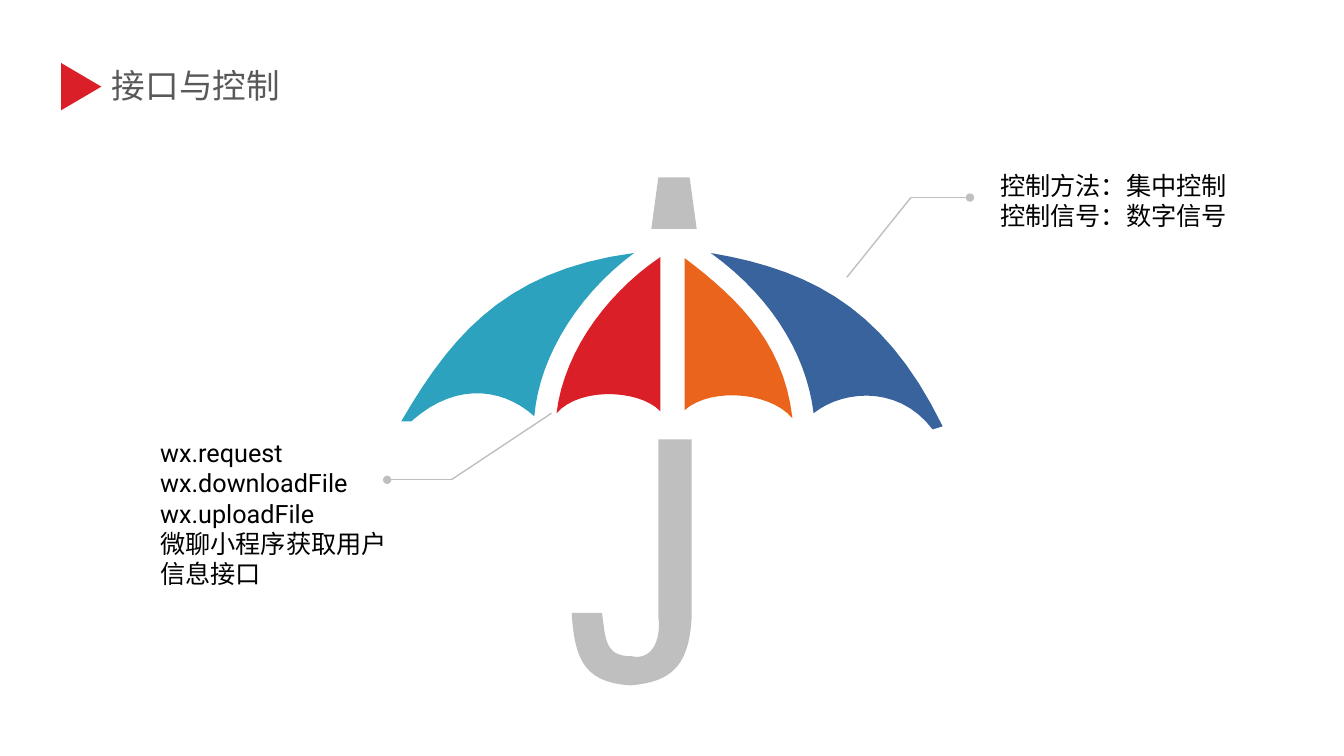
from dataclasses import dataclass

from lxml import etree
from pptx import Presentation
from pptx import util as u
from pptx.dml.color import RGBColor
from pptx.enum import shapes, text
from pptx.oxml.ns import qn


@dataclass
class Theme:
    red: str = "DA1F28"
    teal: str = "2DA2BF"
    blue: str = "39639D"
    orange: str = "EB641B"
    gray: str = "BFBFBF"
    title: str = "595959"
    ink: str = "000000"
    head: str = "Noto Sans CJK SC"
    body: str = "Roboto"
    large: int = 24
    small: int = 18
    rule: int = 1


@dataclass
class Box:
    x: float
    y: float
    w: float
    h: float

    def emu(self):
        return [u.Inches(n) for n in (self.x, self.y, self.w, self.h)]

    def at(self, col, row, cols=1, rows=1):
        return (u.Inches(self.x + self.w * col / cols),
                u.Inches(self.y + self.h * row / rows))


THEME = Theme()
COLS, ROWS = 537, 504
STEPS = 15

PARTS = [
    (THEME.teal, (231, 75), [
        [(181, 123), (147, 179), (132, 237)],
        [(96, 217), (54, 217), (10, 242)],
        [(0, 242)],
        [(55, 163), (127, 106), (231, 75)]]),
    (THEME.gray, (288, 260), [
        [(288, 436)],
        [(280, 475), (260, 496), (227, 504)],
        [(192, 494), (175, 470), (169, 432)],
        [(199, 432)],
        [(202, 453), (209, 469), (228, 475)],
        [(245, 472), (254, 457), (255, 436)],
        [(255, 260)]]),
    (THEME.blue, (307, 75), [
        [(398, 101), (474, 154), (537, 247)],
        [(527, 250)],
        [(488, 221), (445, 218), (409, 234)],
        [(393, 177), (359, 123), (307, 75)]]),
    (THEME.gray, (255, 0), [[(286, 0)], [(293, 51)], [(248, 51)]]),
    (THEME.orange, (281, 80), [
        [(330, 122), (368, 173), (388, 239)],
        [(356, 220), (315, 217), (281, 231)]]),
    (THEME.red, (257, 79), [
        [(257, 232)],
        [(226, 217), (186, 217), (154, 234)],
        [(172, 175), (208, 122), (257, 79)]]),
]


def paint(shape, color):
    shape.shadow.inherit = False
    shape.fill.solid()
    shape.fill.fore_color.rgb = RGBColor.from_string(color)
    shape.line.fill.background()


def curve(knots):
    for step in range(1, STEPS + 1):
        t = 3 * step / STEPS
        mix = (-(t - 1) * (t - 2) * (t - 3) / 6,
               t * (t - 2) * (t - 3) / 2,
               -t * (t - 1) * (t - 3) / 2,
               t * (t - 1) * (t - 2) / 6)
        yield tuple(sum(m * p[axis] for m, p in zip(mix, knots))
                    for axis in (0, 1))


def trace(start, edges):
    points = [start]
    for edge in edges:
        points += edge if len(edge) == 1 else curve([points[-1], *edge])
    return points


def umbrella(slide, box):
    for color, start, edges in PARTS:
        first, *rest = [box.at(*p, COLS, ROWS) for p in trace(start, edges)]
        pen = slide.shapes.build_freeform(*first, scale=1.0)
        pen.add_line_segments(rest, close=True)
        paint(pen.convert_to_shape(), color)


def write(par, words, font, size, color):
    run = par.add_run()
    run.text = words
    run.font.name = font
    run.font.size = u.Pt(size)
    run.font.color.rgb = RGBColor.from_string(color)
    east = etree.SubElement(run.font._element, qn("a:ea"))
    east.set("typeface", font)


def heading(slide, box, words):
    title = slide.shapes.title
    title.left, title.top, title.width, title.height = Box(
        box.x + 0.44, box.y, box.w - 0.44, box.h).emu()
    frame = title.text_frame
    frame.auto_size = text.MSO_AUTO_SIZE.NONE
    frame.vertical_anchor = text.MSO_ANCHOR.MIDDLE
    par = frame.paragraphs[0]
    par.alignment = text.PP_ALIGN.LEFT
    write(par, words, THEME.head, THEME.large, THEME.title)
    mark = slide.shapes.add_shape(
        shapes.MSO_SHAPE.ISOSCELES_TRIANGLE,
        *Box(box.x, box.y + 0.07, 0.47, 0.4).emu())
    mark.rotation = 90
    paint(mark, THEME.red)


def note(slide, box, lines):
    frame = slide.shapes.add_textbox(*box.emu()).text_frame
    frame.word_wrap = True
    for i, words in enumerate(lines):
        par = frame.add_paragraph() if i else frame.paragraphs[0]
        write(par, words, THEME.body, THEME.small, THEME.ink)


def leader(slide, box, route):
    points = [box.at(*p) for p in route]
    for i, (a, b) in enumerate(zip(points, points[1:])):
        line = slide.shapes.add_connector(
            shapes.MSO_CONNECTOR.STRAIGHT, *a, *b)
        line.line.width = u.Pt(THEME.rule)
        line.line.color.rgb = RGBColor.from_string(THEME.gray)
        if i == len(points) - 2:
            dot = etree.SubElement(line.line._get_or_add_ln(), qn("a:tailEnd"))
            dot.set("type", "oval")
        etree.SubElement(line._element.spPr, qn("a:effectLst"))


def main():
    deck = Presentation()
    deck.slide_width = u.Inches(13.33)
    deck.slide_height = u.Inches(7.5)
    slide = deck.slides.add_slide(deck.slide_layouts[5])
    umbrella(slide, Box(3.98, 1.76, 5.37, 5.04))
    leader(slide, Box(3.84, 4.1, 1.63, 0.66), [(1, 0), (0.39, 1), (0, 1)])
    leader(slide, Box(8.4, 1.96, 1.22, 0.79), [(0, 1), (0.52, 0), (1, 0)])
    heading(slide, Box(0.57, 0.59, 3.7, 0.5), "接口与控制")
    note(slide, Box(1.49, 4.29, 2.64, 1.62),
         ["wx.request", "wx.downloadFile", "wx.uploadFile",
          "微聊小程序获取用户信息接口"])
    note(slide, Box(9.82, 1.64, 2.8, 1.01),
         ["控制方法：集中控制", "控制信号：数字信号"])
    deck.save("out.pptx")


if __name__ == "__main__":
    main()
